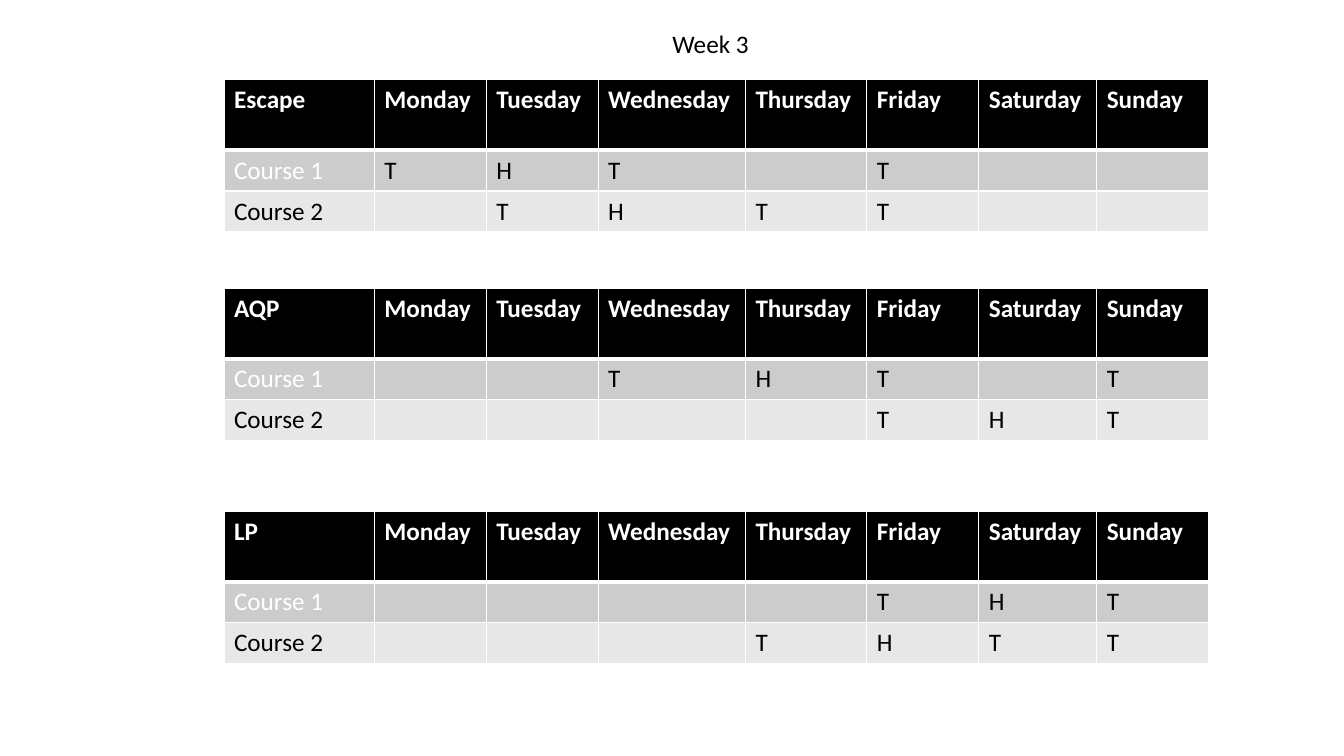
import pptx
import pptx.dml.color
import pptx.enum.text
import pptx.oxml
import pptx.oxml.ns
import pptx.util

Pt = pptx.util.Pt
RGB = pptx.dml.color.RGBColor
BLACK = RGB(0x00, 0x00, 0x00)
WHITE = RGB(0xFF, 0xFF, 0xFF)
GRAY = RGB(0xCC, 0xCC, 0xCC)
PALE = RGB(0xE7, 0xE7, 0xE7)

DAYS = ["Monday", "Tuesday", "Wednesday", "Thursday", "Friday", "Saturday", "Sunday"]
WIDTHS = [107.3, 80, 80, 105.2, 86.7, 80, 84.3, 80]
HEIGHTS = [50.4, 29.2, 29.2]
LEFT = 160
PLANS = [
    ("Escape", 56.9, "THT-T--", "-THTT--"),
    ("AQP", 205.8, "--THT-T", "----THT"),
    ("LP", 365.2, "----THT", "---THTT"),
]


def write(text, frame, font="Calibri", size=18, color=BLACK, bold=False):
    para = frame.paragraphs[0]
    para.alignment = pptx.enum.text.PP_ALIGN.LEFT
    run = para.add_run()
    run.text = text
    run.font.name = font
    run.font.size = Pt(size)
    run.font.bold = bold
    run.font.color.rgb = color


class Deck:
    fills = [BLACK, GRAY, PALE]
    thin = 1
    thick = 3

    def __init__(self, wide, high):
        self.show = pptx.Presentation()
        self.show.slide_width = Pt(wide)
        self.show.slide_height = Pt(high)
        self.slide = self.show.slides.add_slide(self.show.slide_layouts[5])

    def title(self, text, left, top, wide, high):
        head = self.slide.shapes.title
        head.left, head.top = Pt(left), Pt(top)
        head.width, head.height = Pt(wide), Pt(high)
        frame = head.text_frame
        frame.word_wrap = False
        frame.auto_size = pptx.enum.text.MSO_AUTO_SIZE.NONE
        frame.vertical_anchor = pptx.enum.text.MSO_ANCHOR.TOP
        write(text, frame)

    def edge(self, cell, side, width):
        space = pptx.oxml.ns.nsdecls("a")
        line = pptx.oxml.parse_xml(
            f'<a:ln{side} {space} w="{Pt(width)}"><a:solidFill>'
            f'<a:srgbClr val="{WHITE}"/></a:solidFill></a:ln{side}>'
        )
        cell._tc.get_or_add_tcPr().append(line)

    def cell(self, cell, text, row, col):
        top = self.thick if row == 1 else self.thin
        low = self.thick if row == 0 else self.thin
        for side, width in zip("LRTB", (self.thin, self.thin, top, low)):
            self.edge(cell, side, width)
        cell.fill.solid()
        cell.fill.fore_color.rgb = self.fills[row]
        if text:
            light = row == 0 or (row == 1 and col == 0)
            write(text, cell.text_frame, color=WHITE if light else BLACK, bold=row == 0)

    def table(self, rows, left, top):
        grid = self.slide.shapes.add_table(
            len(rows), len(WIDTHS), Pt(left), Pt(top), Pt(sum(WIDTHS)), Pt(sum(HEIGHTS))
        ).table
        for col, width in zip(grid.columns, WIDTHS):
            col.width = Pt(width)
        for row, height in zip(grid.rows, HEIGHTS):
            row.height = Pt(height)
        for r, row in enumerate(rows):
            for c, text in enumerate(row):
                self.cell(grid.cell(r, c), text, r, c)


def main():
    deck = Deck(960, 540)
    deck.title("Week 3", 473, 16.8, 70, 29)
    for name, top, *marks in PLANS:
        rows = [[name, *DAYS]]
        for num, line in enumerate(marks, 1):
            rows.append([f"Course {num}", *(mark.strip("-") for mark in line)])
        deck.table(rows, LEFT, top)
    deck.show.save("out.pptx")


if __name__ == "__main__":
    main()
